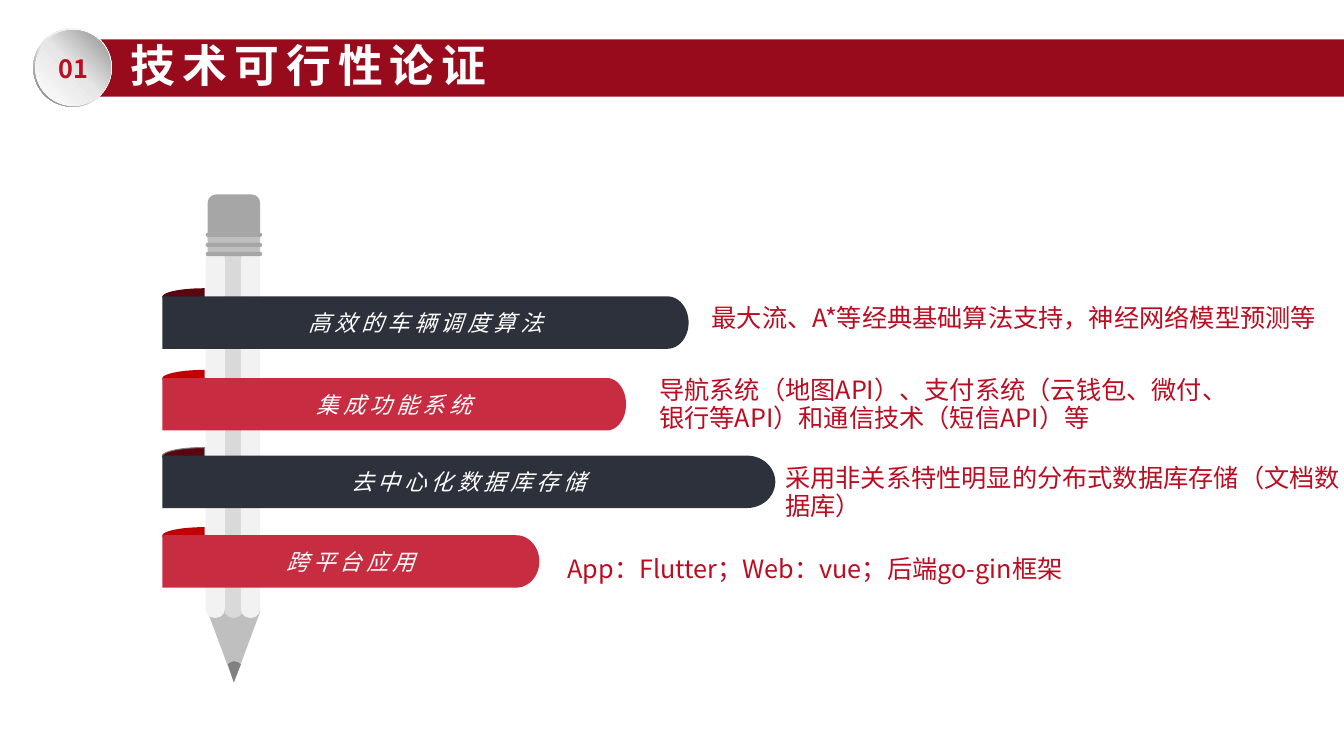
from copy import deepcopy
from math import cos, pi, sin

from lxml.etree import SubElement
from pptx import Presentation
from pptx.dml.color import RGBColor
from pptx.enum.shapes import MSO_SHAPE
from pptx.enum.text import MSO_ANCHOR, PP_ALIGN
from pptx.oxml.ns import qn
from pptx.util import Pt

EMU_PER_PX = 9144
FONT = "Noto Sans CJK SC"
WHITE, RED, DARK_RED = "FFFFFF", "BB0C21", "970B1C"
NAVY, CRIMSON, MAROON, SCARLET = "2D313B", "C82C41", "5A0610", "C00000"
BANNER_LEFT, BANNER_HEIGHT = 161, 52
FOLD_WIDTH, FOLD_HEIGHT, FOLD_RISE = 42, 17, 8

BANNERS = [
    (286, 683, 21, NAVY, MAROON, None, "高效的车辆调度算法"),
    (367, 621, 19, CRIMSON, SCARLET, None, "集成功能系统"),
    (444, 769, 28, NAVY, MAROON, "808080", "去中心化数据库存储"),
    (523, 535, 23, CRIMSON, SCARLET, None, "跨平台应用"),
]
NOTES = [
    (696, 288, 645, "最大流、A*等经典基础算法支持，神经网络模型预测等"),
    (644, 373, 582, "导航系统（地图API）、支付系统（云钱包、微付、银行等API）和通信技术（短信API）等"),
    (769, 461, 572, "采用非关系特性明显的分布式数据库存储（文档数据库）"),
    (553, 537, 633, "App：Flutter；Web：vue；后端go-gin框架"),
]


def px(length):
    """Turn pixels into EMU."""
    return int(length * EMU_PER_PX)


def rgb(value):
    """Turn a hex string into a colour."""
    return RGBColor.from_string(value)


def paint(shape, fill, line=None):
    """Give a shape a flat fill, an optional thin line and no shadow."""
    shape.shadow.inherit = False
    shape.fill.solid()
    shape.fill.fore_color.rgb = rgb(fill)
    if line:
        shape.line.color.rgb = rgb(line)
        shape.line.width = Pt(0.75)
    else:
        shape.line.fill.background()


def paint_gradient(shape, stops, angle):
    """Fill a shape with a three-stop linear gradient."""
    shape.shadow.inherit = False
    shape.line.fill.background()
    shape.fill.gradient()
    shape.fill.gradient_angle = angle
    stop_list = shape._element.spPr.find(qn("a:gradFill")).find(qn("a:gsLst"))
    stop_list.append(deepcopy(stop_list[-1]))
    for stop, (position, color) in zip(shape.fill.gradient_stops, stops):
        stop.position = position
        stop.color.rgb = rgb(color)


def add_preset(slide, kind, left, top, width, height, adjustment=None):
    """Add a preset shape, with its first adjustment if given."""
    shape = slide.shapes.add_shape(kind, px(left), px(top), px(width), px(height))
    if adjustment is not None:
        shape.adjustments[0] = adjustment
    return shape


def add_outline(slide, points, fill, line=None):
    """Add a closed outline through the given points."""
    corners = [(px(x), px(y)) for x, y in points]
    builder = slide.shapes.build_freeform(*corners[0])
    builder.add_line_segments(corners[1:], close=True)
    shape = builder.convert_to_shape()
    paint(shape, fill, line)
    return shape


def half_ellipse(center_x, top, reach, height, steps=24):
    """List points from top to bottom, bulging sideways by reach."""
    angles = [pi * step / steps for step in range(steps + 1)]
    return [(center_x + reach * sin(angle), top + height * (1 - cos(angle)) / 2)
            for angle in angles]


def write(shape, text, size, color, spacing=0, bold=False, italic=False,
          align=PP_ALIGN.LEFT, anchor=MSO_ANCHOR.MIDDLE, line_spacing=None):
    """Write one paragraph into a shape."""
    frame = shape.text_frame
    frame.word_wrap = True
    frame.vertical_anchor = anchor
    paragraph = frame.paragraphs[0]
    paragraph.alignment = align
    paragraph.line_spacing = line_spacing
    run = paragraph.add_run()
    run.text = text
    font = run.font
    font.size, font.bold, font.italic, font.name = Pt(size), bold, italic, FONT
    font.color.rgb = rgb(color)
    properties = run._r.get_or_add_rPr()
    properties.set("spc", str(spacing * 100))
    SubElement(properties, qn("a:ea"), typeface=FONT)


def add_text(slide, left, top, width, height, text, size, color, **style):
    """Add a text box."""
    box = slide.shapes.add_textbox(px(left), px(top), px(width), px(height))
    write(box, text, size, color, **style)


def add_header(slide):
    """Add the title bar with its numbered badge."""
    paint(add_preset(slide, MSO_SHAPE.RECTANGLE, 79, 39, 1254, 57), DARK_RED)
    add_text(slide, 120, 33, 451, 64, "技术可行性论证", 32, WHITE,
             spacing=5, bold=True, anchor=MSO_ANCHOR.TOP)
    ring = add_preset(slide, MSO_SHAPE.DONUT, 33, 28, 78, 78, 0.05)
    paint_gradient(ring, [(0, WHITE), (0.55, "E6E6E6"), (1, "6C6C6C")], 225)
    badge = add_preset(slide, MSO_SHAPE.OVAL, 35, 30, 75, 75)
    paint_gradient(badge, [(0, WHITE), (0.51, "E6E6E6"), (1, "8F8F8F")], 45)
    write(badge, "01", 18, RED, bold=True, align=PP_ALIGN.CENTER)


def add_pencil(slide):
    """Add the upright pencil."""
    rounded = MSO_SHAPE.ROUNDED_RECTANGLE
    paint(add_preset(slide, rounded, 206, 193, 52, 50, 0.16), "A6A6A6")
    add_outline(slide, [(258, 607), (232, 677), (206, 607), (216, 598), (258, 605)],
                "BFBFBF")
    for left, color in ((222, "D9D9D9"), (204, "F2F2F2"), (239, "F2F2F2")):
        paint(add_preset(slide, rounded, left, 248, 19, 365, 0.46), color)
    add_outline(slide, [(232, 677), (239, 659), (236, 657), (232, 656), (229, 657),
                        (226, 659)], "808080")
    paint(add_preset(slide, MSO_SHAPE.RECTANGLE, 206, 231, 52, 23), "BFBFBF")
    for top in (231, 241, 250):
        paint(add_preset(slide, rounded, 204, top, 56, 4, 0.5), "A6A6A6")


def add_banner(slide, top, right, cap, fill, fold_fill, fold_line, text):
    """Add a round-ended banner with the fold behind it."""
    fold = half_ellipse(BANNER_LEFT + FOLD_WIDTH, top, -FOLD_WIDTH, FOLD_HEIGHT)
    add_outline(slide, fold, fold_fill, fold_line)
    banner_top = top + FOLD_RISE
    end = half_ellipse(right - cap, banner_top, cap, BANNER_HEIGHT)
    corners = [(BANNER_LEFT, banner_top + BANNER_HEIGHT), (BANNER_LEFT, banner_top)]
    banner = add_outline(slide, end + corners, fill)
    write(banner, text, 16, WHITE, spacing=3, italic=True, align=PP_ALIGN.CENTER)


def main():
    """Build the slide and save it."""
    presentation = Presentation()
    presentation.slide_width, presentation.slide_height = px(1333), px(750)
    slide = presentation.slides.add_slide(presentation.slide_layouts[6])
    add_header(slide)
    add_pencil(slide)
    for banner in BANNERS:
        add_banner(slide, *banner)
    for left, top, width, text in NOTES:
        add_text(slide, left, top, width, 56, text, 18, RED, line_spacing=Pt(20))
    presentation.save("out.pptx")


if __name__ == "__main__":
    main()
